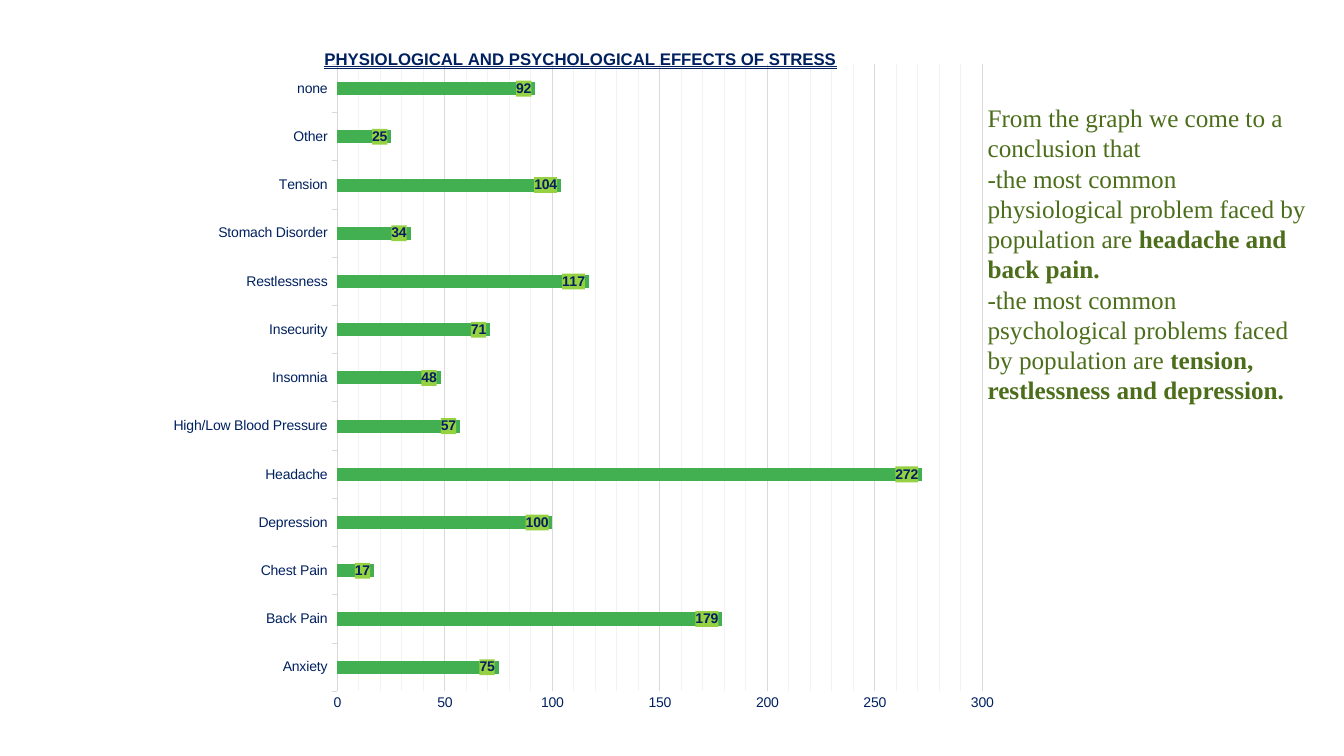
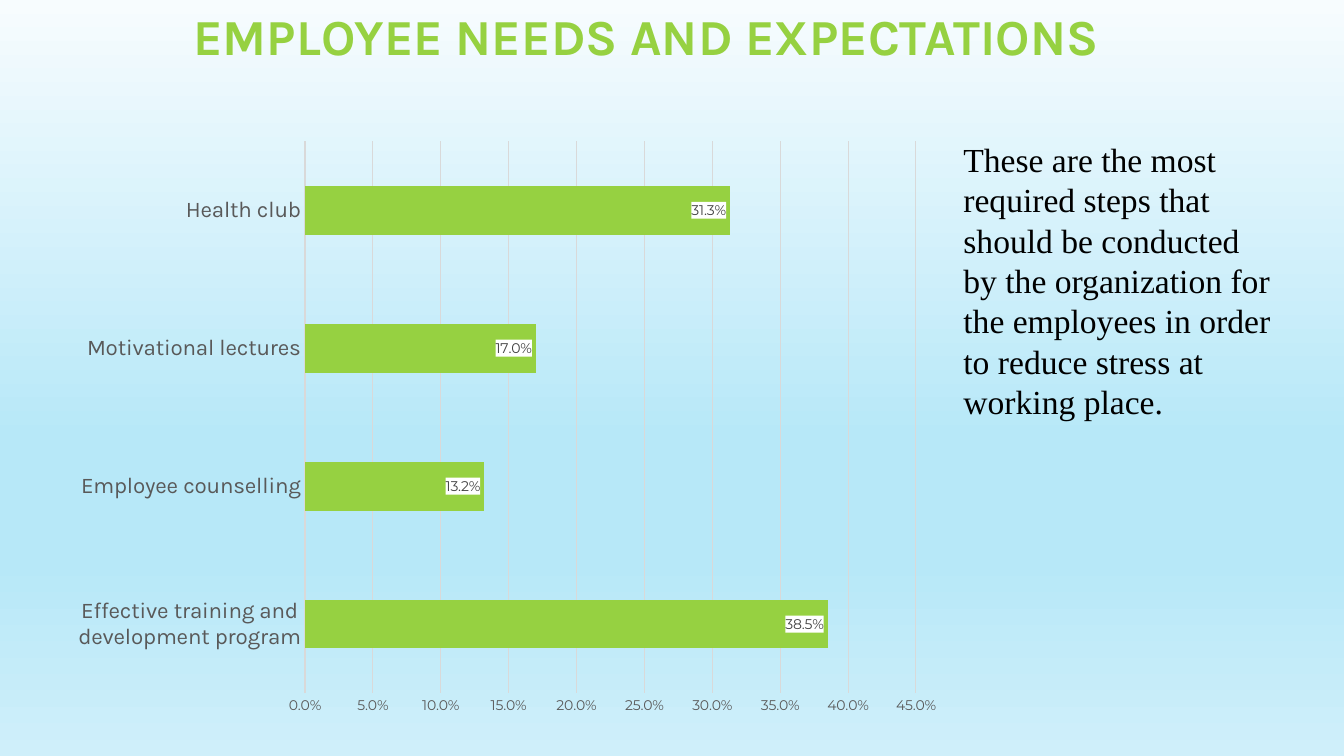
from copy import deepcopy

from lxml import etree
from pptx import Presentation
from pptx.chart.data import CategoryChartData
from pptx.dml.color import RGBColor
from pptx.enum.chart import XL_CHART_TYPE, XL_LABEL_POSITION, XL_TICK_MARK
from pptx.enum.text import MSO_ANCHOR, MSO_AUTO_SIZE, MSO_UNDERLINE, PP_ALIGN
from pptx.oxml import parse_xml
from pptx.oxml.ns import nsdecls, qn
from pptx.util import Cm, Pt

BARS = XL_CHART_TYPE.BAR_CLUSTERED
INSIDE_END = XL_LABEL_POSITION.INSIDE_END
TICK_NONE, TICK_OUT = XL_TICK_MARK.NONE, XL_TICK_MARK.OUTSIDE
DOUBLE = MSO_UNDERLINE.DOUBLE_LINE
TOP, LEFT = MSO_ANCHOR.TOP, PP_ALIGN.LEFT
FIXED, GROW = MSO_AUTO_SIZE.NONE, MSO_AUTO_SIZE.SHAPE_TO_FIT_TEXT

NAVY = RGBColor(0x00, 0x20, 0x60)
GREEN = RGBColor(0x42, 0xB0, 0x51)
LIME = RGBColor(0x96, 0xD1, 0x41)
OLIVE = RGBColor(0x4C, 0x6E, 0x1B)
BLACK = RGBColor(0x00, 0x00, 0x00)
WHITE = RGBColor(0xFF, 0xFF, 0xFF)
DARK_GREY = RGBColor(0x40, 0x40, 0x40)
GREY = RGBColor(0x59, 0x59, 0x59)
GRID = RGBColor(0xD9, 0xD9, 0xD9)
FAINT_GRID = RGBColor(0xF2, 0xF2, 0xF2)
SKY = [
    (0, RGBColor(0xF7, 0xFC, 0xFE)),
    (0.58, RGBColor(0xB7, 0xE8, 0xF8)),
    (0.74, RGBColor(0xB7, 0xE8, 0xF8)),
    (1, RGBColor(0xCF, 0xEF, 0xFA)),
]

SANS, SERIF, HEADING, FIGURES = "Arial", "Times New Roman", "Karla", "Montserrat"
LINE_HEIGHT = 1.2
HAIRLINE = Pt(0.75)

EFFECTS = {
    "Anxiety": 75,
    "Back Pain": 179,
    "Chest Pain": 17,
    "Depression": 100,
    "Headache": 272,
    "High/Low Blood Pressure": 57,
    "Insomnia": 48,
    "Insecurity": 71,
    "Restlessness": 117,
    "Stomach Disorder": 34,
    "Tension": 104,
    "Other": 25,
    "none": 92,
}
NEEDS = {
    "Effective training and development program": 0.385,
    "Employee counselling": 0.132,
    "Motivational lectures": 0.17,
    "Health club": 0.313,
}
CONCLUSION = [
    [("From the graph we come to a conclusion that", False)],
    [("-the most common physiological problem faced by population are ", False),
     ("headache and back pain.", True)],
    [("-the most common psychological problems faced by population are ", False),
     ("tension, restlessness and depression.", True)],
]
RECOMMENDATION = [
    [("These are the most required steps that should be conducted by the "
      "organization for the employees in order to reduce stress at working place.",
      False)],
]


def set_font(font, name, size, color, bold=False, underline=None):
    """Apply a text format to a font."""
    font.name, font.size, font.bold = name, Pt(size), bold
    font.color.rgb = color
    if underline is not None:
        font.underline = underline


def write(paragraph, text, **text_format):
    """Append text in the given format to a paragraph."""
    run = paragraph.add_run()
    run.text = text
    set_font(run.font, **text_format)


def commentary(slide, box, paragraphs, size, color):
    """Place the remarks beside a chart in the given box."""
    frame = slide.shapes.add_textbox(*map(Cm, box)).text_frame
    frame.word_wrap, frame.auto_size = True, GROW
    for index, parts in enumerate(paragraphs):
        paragraph = frame.add_paragraph() if index else frame.paragraphs[0]
        paragraph.line_spacing = Pt(size * LINE_HEIGHT)
        for text, bold in parts:
            write(paragraph, text, name=SERIF, size=size, color=color, bold=bold)


def heading(slide, box, text):
    """Fill the title placeholder and move it into the box."""
    title = slide.shapes.title
    title.left, title.top, title.width, title.height = map(Cm, box)
    frame = title.text_frame
    frame.word_wrap, frame.auto_size, frame.vertical_anchor = True, FIXED, TOP
    frame.paragraphs[0].alignment = LEFT
    write(frame.paragraphs[0], text, name=HEADING, size=36, color=LIME, bold=True)


def lay_out(part, **settings):
    """Give a chart part a manual layout in fractions of the chart."""
    layout = part.find(qn("c:layout"))
    if layout is None:
        layout = parse_xml(f"<c:layout {nsdecls('c')}/>")
        part.insert(0, layout)
    manual = etree.SubElement(layout, qn("c:manualLayout"))
    for tag, value in settings.items():
        etree.SubElement(manual, qn(f"c:{tag}")).set("val", str(value))


def draw_line(line, color):
    """Give a chart line the shared width and a colour."""
    line.color.rgb = color
    line.width = HAIRLINE


def minor_grid(values, unit, color):
    """Add minor gridlines at the given step."""
    values.minor_unit, values.has_minor_gridlines = unit, True
    values._element.find(qn("c:minorGridlines")).append(parse_xml(
        f"<c:spPr {nsdecls('c', 'a')}><a:ln w='{HAIRLINE}'><a:solidFill>"
        f"<a:srgbClr val='{color}'/></a:solidFill></a:ln></c:spPr>"
    ))


def label_bars(plot, number_format, font, fill, opacity):
    """Show values at the bar ends on a filled ground."""
    plot.has_data_labels = True
    labels = plot.data_labels
    labels.show_value, labels.position = True, INSIDE_END
    labels.number_format, labels.number_format_is_linked = number_format, False
    set_font(labels.font, **font)
    ground = parse_xml(
        f"<c:spPr {nsdecls('c', 'a')}><a:solidFill><a:srgbClr val='{fill}'>"
        f"<a:alpha val='{opacity * 1000}'/></a:srgbClr></a:solidFill></c:spPr>"
    )
    labels._element.find(qn("c:txPr")).addprevious(ground)


def bar_chart(slide, box, data, area, color, gap, scale, number_format,
              category_font, value_font, label_font, label_fill, opacity=100,
              tick=TICK_NONE):
    """Place a horizontal bar chart in the box and return it."""
    chart_data = CategoryChartData(number_format=number_format)
    chart_data.categories = list(data)
    chart_data.add_series("Series 1", list(data.values()))
    chart = slide.shapes.add_chart(BARS, *map(Cm, box), chart_data).chart
    chart.has_legend = chart.has_title = False
    x, y, width, height = area
    lay_out(chart._chartSpace.chart.plotArea, layoutTarget="inner", xMode="edge",
            yMode="edge", x=x, y=y, w=width, h=height)

    plot = chart.plots[0]
    plot.gap_width, plot.vary_by_categories = gap, False
    bars = plot.series[0].format.fill
    bars.solid()
    bars.fore_color.rgb = color
    label_bars(plot, number_format, label_font, label_fill, opacity)

    categories, values = chart.category_axis, chart.value_axis
    categories.major_tick_mark, values.major_tick_mark = tick, TICK_NONE
    categories.minor_tick_mark = values.minor_tick_mark = TICK_NONE
    set_font(categories.tick_labels.font, **category_font)
    set_font(values.tick_labels.font, **value_font)
    values.tick_labels.number_format = number_format
    values.tick_labels.number_format_is_linked = False
    values.minimum_scale = 0
    values.maximum_scale, values.major_unit = scale
    draw_line(categories.format.line, GRID)
    draw_line(values.major_gridlines.format.line, GRID)
    values.format.line.fill.background()
    return chart


def title_chart(chart, text, x, y, **text_format):
    """Write the title over the top of the chart."""
    chart.has_title = True
    title = chart.chart_title
    write(title.text_frame.paragraphs[0], text, **text_format)
    lay_out(title._element, xMode="edge", yMode="edge", x=x, y=y)


def sky_background(slide):
    """Fill the slide with the vertical sky gradient."""
    fill = slide.background.fill
    fill.gradient()
    fill.gradient_angle = 270
    stops = slide.element.find(".//" + qn("a:gsLst"))
    while len(stops) < len(SKY):
        stops.append(deepcopy(stops[0]))
    for stop, (position, color) in zip(fill.gradient_stops, SKY):
        stop.position, stop.color.rgb = position, color


def effects_slide(prs):
    """Build the slide on the effects of stress."""
    slide = prs.slides.add_slide(prs.slide_layouts[6])
    plain = {"name": SANS, "size": 10, "color": NAVY}
    chart = bar_chart(
        slide, (3.81, 0.61, 21.44, 17.83), EFFECTS,
        area=(0.219, 0.057, 0.758, 0.886), color=GREEN, gap=269, scale=(300, 50),
        number_format="General", category_font=plain, value_font=plain,
        label_font={**plain, "bold": True}, label_fill=LIME, tick=TICK_OUT)
    minor_grid(chart.value_axis, 10, FAINT_GRID)
    title_chart(chart, "PHYSIOLOGICAL AND PSYCHOLOGICAL EFFECTS OF STRESS",
                x=0.2, y=0.03, name=SANS, size=12, color=NAVY, bold=True,
                underline=DOUBLE)
    commentary(slide, (24.64, 2.46, 8.69, 7.95), CONCLUSION, 18, OLIVE)


def needs_slide(prs):
    """Build the slide on employee needs."""
    slide = prs.slides.add_slide(prs.slide_layouts[5])
    sky_background(slide)
    heading(slide, (4.62, 0, 24.64, 2.57), "EMPLOYEE NEEDS AND EXPECTATIONS")
    bar_chart(
        slide, (0, 2.13, 23.8, 16.23), NEEDS,
        area=(0.323, 0.088, 0.647, 0.857), color=LIME, gap=182, scale=(0.45, 0.05),
        number_format="0.0%",
        category_font={"name": HEADING, "size": 16, "color": GREY},
        value_font={"name": FIGURES, "size": 10, "color": GREY},
        label_font={"name": FIGURES, "size": 10, "color": DARK_GREY},
        label_fill=WHITE, opacity=80)
    commentary(slide, (24.03, 3.38, 8.31, 7.44), RECOMMENDATION, 24, BLACK)


def main():
    """Build and save the presentation."""
    prs = Presentation()
    prs.slide_width, prs.slide_height = Cm(33.87), Cm(19.05)
    effects_slide(prs)
    needs_slide(prs)
    prs.save("out.pptx")


if __name__ == "__main__":
    main()
